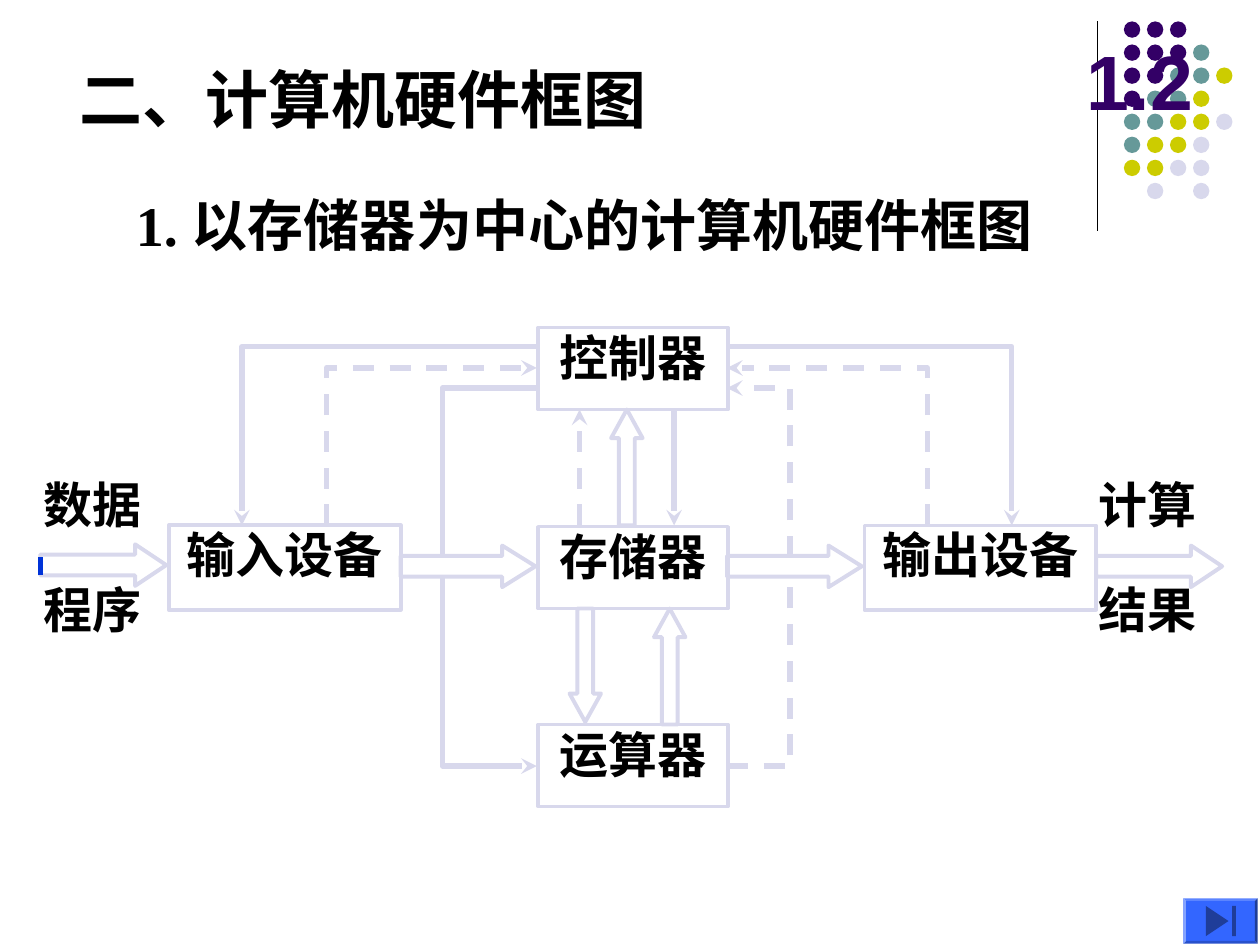
from lxml import etree
from pptx import Presentation
from pptx.dml.color import RGBColor
from pptx.enum import dml, shapes, text
from pptx.oxml.ns import qn
from pptx.util import Inches, Pt

BLACK = RGBColor(0x00, 0x00, 0x00)
PURPLE = RGBColor(0x33, 0x00, 0x66)
TEAL = RGBColor(0x66, 0x99, 0x99)
YELLOW = RGBColor(0xCC, 0xCC, 0x00)
LAVENDER = RGBColor(0xD8, 0xD8, 0xEC)
MARK_BLUE = RGBColor(0x00, 0x33, 0xD8)
BUTTON_BLUE = RGBColor(0x33, 0x66, 0xFF)
ICON_BLUE = RGBColor(0x1F, 0x3D, 0x99)
CJK_FONT = "Noto Sans CJK SC"
LEFT, CENTER = text.PP_ALIGN.LEFT, text.PP_ALIGN.CENTER
SHAPE = shapes.MSO_SHAPE

deck = Presentation()
deck.slide_width, deck.slide_height = Inches(10), Inches(7.5)
page = deck.slides.add_slide(deck.slide_layouts[5])


def write(box, words, size, align=LEFT, font=CJK_FONT, color=BLACK,
          anchor=text.MSO_ANCHOR.TOP, wrap=True, spacing=0.9):
    frame = box.text_frame
    frame.text = words
    frame.word_wrap = wrap
    frame.auto_size = text.MSO_AUTO_SIZE.NONE
    frame.vertical_anchor = anchor
    para = frame.paragraphs[0]
    para.alignment = align
    para.line_spacing = spacing
    para.font.size, para.font.bold, para.font.name = Pt(size), True, font
    para.font.color.rgb = color
    defaults = para._p.pPr.find(qn("a:defRPr"))
    etree.SubElement(defaults, qn("a:ea")).set("typeface", CJK_FONT)


def draw_line(points, color=LAVENDER, width=3, dashed=False, arrow=False):
    places = [(Inches(x), Inches(y)) for x, y in points]
    if len(places) == 2:
        line = page.shapes.add_connector(
            shapes.MSO_CONNECTOR.STRAIGHT, *places[0], *places[1])
        etree.SubElement(line._element.spPr, qn("a:effectLst"))
    else:
        builder = page.shapes.build_freeform(*places[0], scale=1.0)
        builder.add_line_segments(places[1:], close=False)
        line = builder.convert_to_shape()
        line.fill.background()
        line.shadow.inherit = False
    line.line.color.rgb = color
    line.line.width = Pt(width)
    if dashed:
        line.line.dash_style = dml.MSO_LINE.DASH
    if arrow:
        tail = etree.SubElement(line.line._get_or_add_ln(), qn("a:tailEnd"))
        tail.set("type", "stealth")


# Corner decoration: rule and dot grid
draw_line([(8.71, 0.17), (8.71, 1.83)], color=BLACK, width=0.75)
dot_colors = {"P": PURPLE, "T": TEAL, "Y": YELLOW, "L": LAVENDER}
dot_rows = ["PPP", "PPPT", "PPTTY", "PTTY", "TTYYL", "TYYL", "YYLL", " L L"]
for row, letters in enumerate(dot_rows):
    for column, letter in enumerate(letters):
        if letter in dot_colors:
            dot = page.shapes.add_shape(
                SHAPE.OVAL, Inches(8.92 + 0.183 * column),
                Inches(0.17 + 0.183 * row), Inches(0.13), Inches(0.13))
            dot.fill.solid()
            dot.fill.fore_color.rgb = dot_colors[letter]
            dot.line.fill.background()
            dot.shadow.inherit = False

# Title, section number and subtitle
title = page.shapes.title
title.left, title.top = Inches(0.53), Inches(0.5)
title.width, title.height = Inches(7.05), Inches(0.7)
write(title, "二、计算机硬件框图", 36)
section = page.shapes.add_textbox(
    Inches(8.42), Inches(0.17), Inches(1.25), Inches(0.92))
write(section, "1.2", 44, CENTER, "Arial", PURPLE,
      text.MSO_ANCHOR.MIDDLE, spacing=1.0)
subtitle = page.shapes.add_textbox(
    Inches(0.98), Inches(1.52), Inches(7.39), Inches(1.17))
write(subtitle, "1. 以存储器为中心的计算机硬件框图", 32, font="Times New Roman")

# Hardware units
units = [
    ("存储器", 4.27, 4.18, 1.51, 0.65, 2),
    ("输出设备", 6.86, 4.17, 1.84, 0.67, 2),
    ("输入设备", 1.34, 4.17, 1.84, 0.67, 2.25),
    ("运算器", 4.27, 5.75, 1.51, 0.65, 2),
    ("控制器", 4.27, 2.6, 1.51, 0.65, 2),
]
for name, left, top, width, height, border in units:
    unit = page.shapes.add_shape(
        SHAPE.RECTANGLE, Inches(left), Inches(top), Inches(width), Inches(height))
    unit.fill.background()
    unit.line.color.rgb = LAVENDER
    unit.line.width = Pt(border)
    unit.shadow.inherit = False
    write(unit, name, 28, CENTER)

# Data flow: block arrows
flows = [
    (SHAPE.RIGHT_ARROW, 0.32, 4.32, 1, 0.33, 0.75),
    (SHAPE.RIGHT_ARROW, 3.18, 4.33, 1.07, 0.33, 0.8),
    (SHAPE.RIGHT_ARROW, 5.77, 4.33, 1.07, 0.33, 0.8),
    (SHAPE.RIGHT_ARROW, 8.7, 4.33, 1, 0.33, 0.75),
    (SHAPE.UP_ARROW, 4.85, 3.25, 0.25, 0.92, 0.91),
    (SHAPE.UP_ARROW, 5.19, 4.83, 0.25, 0.92, 0.91),
    (SHAPE.DOWN_ARROW, 4.52, 4.83, 0.25, 0.9, 0.9),
]
for kind, left, top, width, height, head in flows:
    flow = page.shapes.add_shape(
        kind, Inches(left), Inches(top), Inches(width), Inches(height))
    flow.adjustments[0], flow.adjustments[1] = 0.5, head
    flow.fill.background()
    flow.line.color.rgb = LAVENDER
    flow.line.width = Pt(2.25)
    flow.shadow.inherit = False

# Control signals (solid)
draw_line([(3.51, 4.42), (3.51, 3.08), (4.27, 3.08)])
draw_line([(3.51, 4.58), (3.51, 6.08), (4.26, 6.08)], arrow=True)
draw_line([(5.35, 3.25), (5.35, 4.17)], arrow=True)
draw_line([(4.26, 2.75), (1.92, 2.75), (1.92, 4.17)], arrow=True)
draw_line([(5.77, 2.75), (8.03, 2.75), (8.03, 4.17)], arrow=True)

# Feedback signals (dashed)
draw_line([(5.77, 6.08), (6.27, 6.08), (6.27, 4.58)], dashed=True)
draw_line([(6.27, 4.42), (6.27, 3.08), (5.77, 3.08)], dashed=True, arrow=True)
draw_line([(4.6, 4.17), (4.6, 3.25)], dashed=True, arrow=True)
draw_line([(2.59, 4.17), (2.59, 2.92), (4.26, 2.92)], dashed=True, arrow=True)
draw_line([(7.36, 4.17), (7.36, 2.92), (5.77, 2.92)], dashed=True, arrow=True)

# Input and output labels
for left, names in [(0.25, ("数据", "程序")), (8.62, ("计算", "结果"))]:
    for top, name in zip((3.77, 4.6), names):
        label = page.shapes.add_textbox(
            Inches(left), Inches(top), Inches(0.97), Inches(0.57))
        write(label, name, 28, wrap=False)
draw_line([(0.32, 4.42), (0.32, 4.56)], color=MARK_BLUE)

# Button that jumps to the end: bevel, triangle and bar
button_parts = [
    (SHAPE.BEVEL, 9.39, 7.13, 0.59, 0.36, 0, BUTTON_BLUE),
    (SHAPE.ISOSCELES_TRIANGLE, 9.54, 7.22, 0.24, 0.18, 90, ICON_BLUE),
    (SHAPE.RECTANGLE, 9.78, 7.19, 0.03, 0.24, 0, ICON_BLUE),
]
for kind, left, top, width, height, turn, color in button_parts:
    part = page.shapes.add_shape(
        kind, Inches(left), Inches(top), Inches(width), Inches(height))
    part.rotation = turn
    if kind == SHAPE.BEVEL:
        part.adjustments[0] = 0.06
    part.fill.solid()
    part.fill.fore_color.rgb = color
    part.line.fill.background()
    part.shadow.inherit = False

deck.save("out.pptx")
